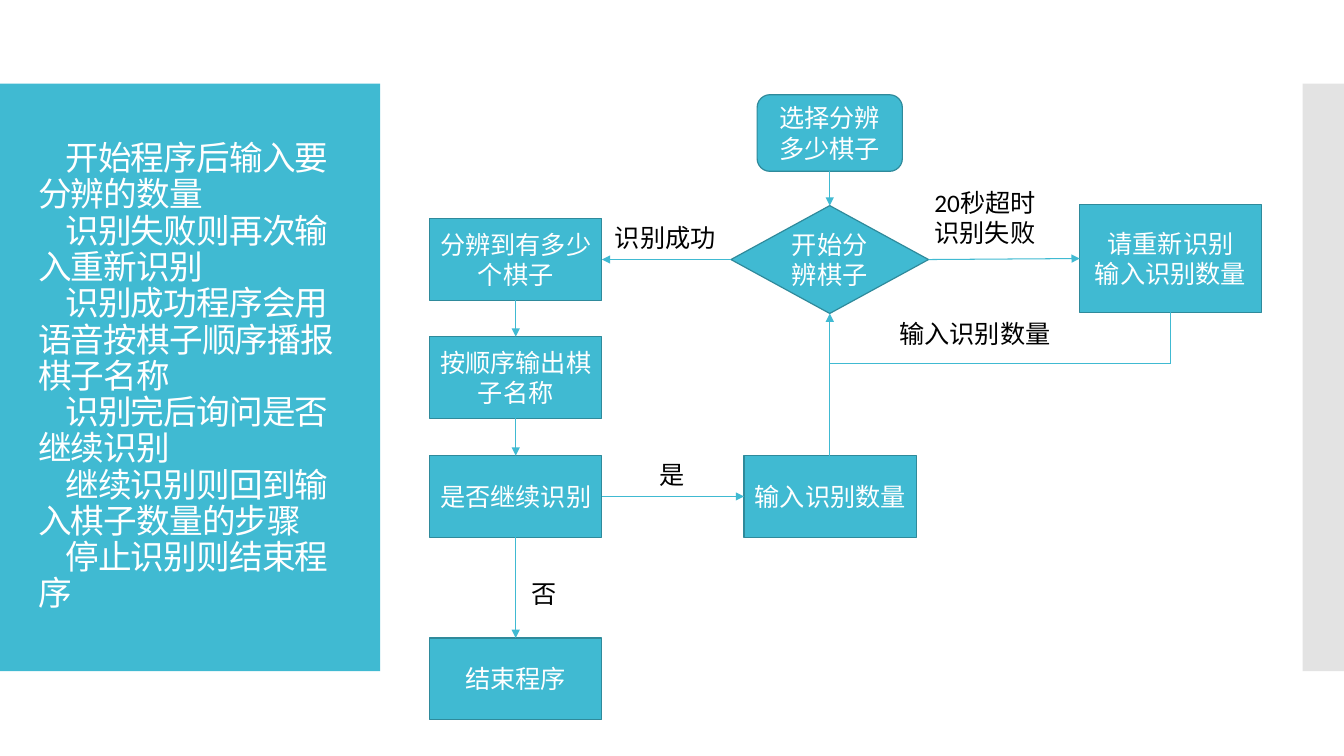
from lxml import etree
from pptx import Presentation
from pptx.dml.color import RGBColor
from pptx.enum.shapes import MSO_CONNECTOR, MSO_SHAPE
from pptx.enum.text import MSO_ANCHOR, PP_ALIGN
from pptx.oxml.ns import qn
from pptx.util import Emu, Pt

RECT = MSO_SHAPE.RECTANGLE
ROUNDED = MSO_SHAPE.ROUNDED_RECTANGLE
DECISION = MSO_SHAPE.FLOWCHART_DECISION
STRAIGHT = MSO_CONNECTOR.STRAIGHT
MIDDLE, TOP_ANCHOR = MSO_ANCHOR.MIDDLE, MSO_ANCHOR.TOP
CENTER, LEFT_ALIGN = PP_ALIGN.CENTER, PP_ALIGN.LEFT
TOP, LEFT, BOTTOM, RIGHT = range(4)

TEAL = RGBColor(0x40, 0xBA, 0xD2)
DARK_TEAL = RGBColor(0x2F, 0x8A, 0x9B)
GREY = RGBColor(0xC8, 0xC8, 0xC8)
WHITE = RGBColor(0xFF, 0xFF, 0xFF)
BLACK = RGBColor(0x00, 0x00, 0x00)

PX = 9144

INTRO = [
    "开始程序后输入要分辨的数量",
    "识别失败则再次输入重新识别",
    "识别成功程序会用语音按棋子顺序播报棋子名称",
    "识别完后询问是否继续识别",
    "继续识别则回到输入棋子数量的步骤",
    "停止识别则结束程序",
]

STEPS = {
    "select": (ROUNDED, (325, 0, 144, 76), ["选择分辨多少棋子"]),
    "count": (RECT, (0, 123, 171, 81), ["分辨到有多少个棋子"]),
    "identify": (DECISION, (299, 110, 196, 107), ["开始分辨棋子"]),
    "retry": (RECT, (645, 109, 180, 107), ["请重新识别", "输入识别数量"]),
    "names": (RECT, (0, 240, 171, 81), ["按顺序输出棋子名称"]),
    "continue": (RECT, (0, 358, 171, 81), ["是否继续识别"]),
    "finish": (RECT, (0, 539, 171, 81), ["结束程序"]),
    "amount": (RECT, (312, 358, 171, 81), ["输入识别数量"]),
}

FLOWS = [
    ("select", BOTTOM, "identify", TOP),
    ("identify", LEFT, "count", RIGHT),
    ("identify", RIGHT, "retry", LEFT),
    ("count", BOTTOM, "names", TOP),
    ("names", BOTTOM, "continue", TOP),
    ("continue", BOTTOM, "finish", TOP),
    ("continue", RIGHT, "amount", LEFT),
]

RETURN_PATH = [
    ((735, 216), (735, 267), False),
    ((735, 267), (397, 267), False),
    ((397, 358), (397, 267), False),
    ((397, 267), (397, 217), True),
]

LABELS = [
    ((174, 122, 125, 40), ["识别成功"]),
    ((491, 87, 150, 71), ["20秒超时", "识别失败"]),
    ((456, 217, 209, 40), ["输入识别数量"]),
    ((91, 475, 40, 40), ["否"]),
    ((218, 357, 46, 40), ["是"]),
]


def emu(*lengths):
    return [Emu(length * PX) for length in lengths]


def within(origin, box):
    return box[0] + origin[0], box[1] + origin[1], *box[2:]


def write(shape, lines, color, font="Calibri", size=18, align=LEFT_ALIGN, anchor=TOP_ANCHOR):
    frame = shape.text_frame
    frame.word_wrap = True
    frame.vertical_anchor = anchor
    frame.text = "\n".join(lines)
    for paragraph in frame.paragraphs:
        paragraph.alignment = align
        letters = paragraph.runs[0].font
        letters.color.rgb = color
        for name, value in {"name": font, "size": Pt(size)}.items():
            setattr(letters, name, value)
    return frame


def add_block(slide, kind, box, color):
    block = slide.shapes.add_shape(kind, *emu(*box))
    block.shadow.inherit = False
    block.fill.solid()
    block.fill.fore_color.rgb = color
    block.line.fill.background()
    return block


def add_line(slide, start, end, arrow):
    line = slide.shapes.add_connector(STRAIGHT, *emu(*start, *end))
    line.line.color.rgb = TEAL
    line.line.width = Pt(0.75)
    if arrow:
        etree.SubElement(line.line._get_or_add_ln(), qn("a:tailEnd"), type="triangle")
    etree.SubElement(line._element.spPr, qn("a:effectLst"))
    return line


def add_intro(slide, box):
    left, top, width, height = box
    add_block(slide, RECT, box, TEAL)
    intro = slide.shapes.add_textbox(*emu(left + 28, top + 40, width - 55, height - 80))
    frame = write(intro, INTRO, WHITE, "Arial", 24, anchor=MIDDLE)
    for paragraph in frame.paragraphs:
        paragraph.line_spacing = 0.9
        paragraph._p.get_or_add_pPr().set("indent", str(27 * PX))
        paragraph.runs[0].font._element.set("spc", "-60")


def add_edge_strip(slide, box):
    strip = add_block(slide, RECT, box, GREY)
    shade = strip._element.spPr.find(qn("a:solidFill"))[0]
    etree.SubElement(shade, qn("a:alpha"), val="50000")


def add_flowchart(slide, box):
    steps = {}
    for name, (kind, place, lines) in STEPS.items():
        step = add_block(slide, kind, within(box, place), TEAL)
        step.line.color.rgb = DARK_TEAL
        step.line.width = Pt(0.85)
        write(step, lines, WHITE, align=CENTER, anchor=MIDDLE)
        steps[name] = step
    for source, exit_site, target, entry_site in FLOWS:
        flow = add_line(slide, box[:2], box[:2], True)
        flow.begin_connect(steps[source], exit_site)
        flow.end_connect(steps[target], entry_site)
    for start, end, arrow in RETURN_PATH:
        add_line(slide, within(box, start), within(box, end), arrow)
    for place, lines in LABELS:
        label = slide.shapes.add_textbox(*emu(*within(box, place)))
        write(label, lines, BLACK)


def main():
    deck = Presentation()
    deck.slide_width, deck.slide_height = emu(1333, 750)
    slide = deck.slides.add_slide(deck.slide_layouts[6])
    add_intro(slide, (0, 83, 377, 583))
    add_edge_strip(slide, (1292, 83, 41, 583))
    add_flowchart(slide, (426, 94, 825, 620))
    deck.save("out.pptx")


if __name__ == "__main__":
    main()
